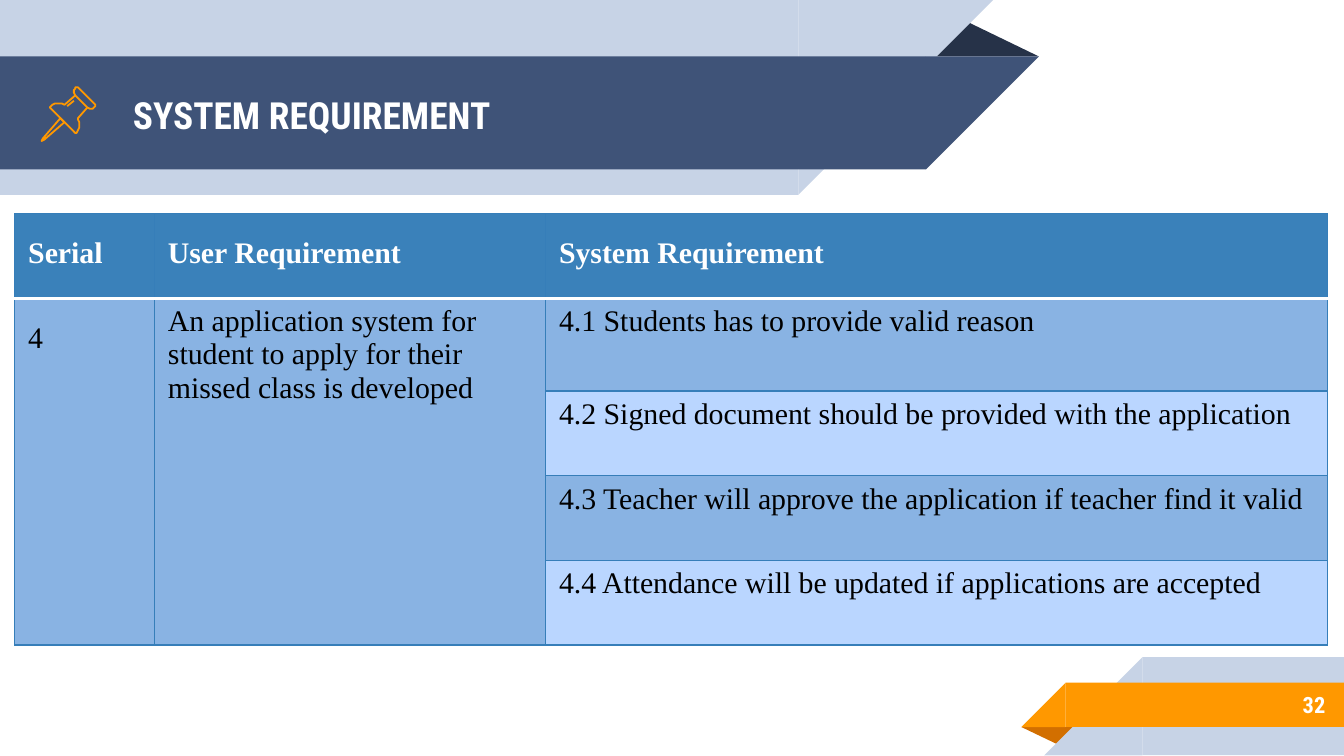
from lxml import etree
from pptx import Presentation
from pptx.dml.color import RGBColor
from pptx.enum.shapes import MSO_SHAPE as Preset
from pptx.enum.text import MSO_ANCHOR as Anchor, PP_ALIGN as Align
from pptx.oxml.ns import qn
from pptx.util import Inches, Pt

# Content
TITLE = "SYSTEM REQUIREMENT"
PAGE_NUMBER = "32"
HEADERS = ["Serial", "User Requirement", "System Requirement"]
SERIAL = "4"
USER_REQUIREMENT = ("An application system for student to apply for their "
                    "missed class is developed")
SYSTEM_REQUIREMENTS = [
    "4.1 Students has to provide valid reason",
    "4.2 Signed document should be provided with the application",
    "4.3 Teacher will approve the application if teacher find it valid",
    "4.4 Attendance will be updated if applications are accepted",
]

# Format values
WHITE, BLACK, PALE, NAVY, ORANGE = "FFFFFF", "000000", "C7D3E6", "3F5378", "FF9800"
HEADER_FILL, BODY_FILLS, GRID = "3A81BA", ["89B3E3", "BAD6FF"], "367EB9"
COLUMN_WIDTHS = [1.04, 2.91, 5.82]
ROW_HEIGHTS = [0.63, 0.69, 0.63, 0.63, 0.63]
HEADING = {"name": "Roboto Condensed", "size": Pt(20), "bold": True}
NUMBER = {**HEADING, "size": Pt(12)}
BODY = {"name": "Times New Roman", "size": Pt(16), "bold": False}
COLUMN_HEAD = {**BODY, "bold": True}

# Ribbons: left, top, rectangle width, height, colour, slanted end
HEADER_RIBBONS = [(0, 0, 5.94, 1.45, PALE, "right"), (0, 0.42, 6.89, 0.84, NAVY, "right")]
FOOTER_RIBBONS = [(8.5, 4.89, 1.5, 0.73, PALE, "left"), (7.93, 5.08, 2.07, 0.33, ORANGE, "left")]

# Pushpin outlines in hundredths of an inch: points, closed
PIN = [
    ([(45, 88), (32, 103), (31, 105), (33, 104), (48, 91)], True),
    ([(56, 71), (65, 80), (67, 81), (69, 81), (70, 80), (71, 79), (71, 78),
      (58, 65), (57, 65), (56, 65), (56, 66), (55, 67), (55, 69)], True),
    ([(56, 71), (48, 78), (46, 77), (44, 77), (41, 77), (39, 78), (38, 79),
      (37, 80), (38, 81), (55, 98), (56, 99), (57, 99), (58, 97), (59, 95),
      (59, 93), (59, 91), (58, 89), (58, 88), (65, 80)], False),
    ([(50, 79), (55, 75)], False),
]


def color(value):
    return RGBColor.from_string(value)


def add_preset(preset, left, top, width, height, fill, rotation=0):
    shape = slide.shapes.add_shape(preset, *map(Inches, (left, top, width, height)))
    shape.shadow.inherit = False
    shape.fill.solid()
    shape.fill.fore_color.rgb = color(fill)
    shape.line.fill.background()
    shape.rotation = rotation
    return shape


def add_fold(left, top, width, height, fill, rotation=0):
    add_preset(Preset.ISOSCELES_TRIANGLE, left, top, width, height, fill,
               rotation).adjustments[0] = 0.32


def add_ribbon(left, top, width, height, fill, slant):
    add_preset(Preset.RECTANGLE, left, top, width, height, fill)
    end, rotation = (left + width, 90) if slant == "right" else (left - height, 270)
    add_preset(Preset.RIGHT_TRIANGLE, end, top, height, height, fill, rotation)


def write(frame, text, font, text_color, alignment=Align.LEFT, spacing=None):
    frame.word_wrap = True
    paragraph = frame.paragraphs[0]
    paragraph.alignment = alignment
    paragraph.line_spacing = spacing
    run = paragraph.add_run()
    run.text = text
    for name, value in font.items():
        setattr(run.font, name, value)
    run.font.color.rgb = color(text_color)


def add_label(left, top, width, height, text, font, alignment):
    frame = slide.shapes.add_textbox(*map(Inches, (left, top, width, height))).text_frame
    for side in ("left", "top", "right", "bottom"):
        setattr(frame, f"margin_{side}", Inches(0.1))
    frame.vertical_anchor = Anchor.MIDDLE
    write(frame, text, font, WHITE, alignment)


def set_borders(cell, borders):
    properties = cell._tc.get_or_add_tcPr()
    for index, (side, (line_color, width)) in enumerate(borders.items()):
        line = etree.Element(qn(f"a:ln{side}"), w=str(Pt(width)))
        fill = etree.SubElement(line, qn("a:solidFill"))
        etree.SubElement(fill, qn("a:srgbClr"), val=line_color)
        properties.insert(index, line)


# Widescreen slide, 16:9
presentation = Presentation()
presentation.slide_width = Inches(10)
presentation.slide_height = Inches(10 * 9 / 16)
slide = presentation.slides.add_slide(presentation.slide_layouts[6])

# Header and footer ribbons
add_fold(6.88, 0.14, 0.85, 0.28, "263248")
for ribbon in HEADER_RIBBONS:
    add_ribbon(*ribbon)
add_fold(7.6, 5.41, 0.43, 0.14, "D26F00", 180)
for ribbon in FOOTER_RIBBONS:
    add_ribbon(*ribbon)

# Title and page number
add_label(0.89, 0.43, 6.01, 0.84, TITLE, HEADING, Align.LEFT)
add_label(8.33, 5.07, 1.63, 0.35, PAGE_NUMBER, NUMBER, Align.RIGHT)

# Pushpin icon
for points, closed in PIN:
    builder = slide.shapes.build_freeform(*points[0], scale=Inches(0.01))
    builder.add_line_segments(points[1:], close=closed)
    outline = builder.convert_to_shape()
    outline.shadow.inherit = False
    outline.fill.background()
    outline.line.color.rgb = color(ORANGE)
    outline.line.width = Pt(0.96)

# Requirement table
table = slide.shapes.add_table(
    len(ROW_HEIGHTS), len(COLUMN_WIDTHS), Inches(0.11), Inches(1.59),
    Inches(sum(COLUMN_WIDTHS)), Inches(sum(ROW_HEIGHTS))).table
for column, width in zip(table.columns, COLUMN_WIDTHS):
    column.width = Inches(width)
for row, height in zip(table.rows, ROW_HEIGHTS):
    row.height = Inches(height)

for row_index, row in enumerate(table.rows):
    for column_index, cell in enumerate(row.cells):
        stripe = (row_index - 1) % 2 if column_index == 2 else 0
        cell.fill.solid()
        cell.fill.fore_color.rgb = color(BODY_FILLS[stripe] if row_index else HEADER_FILL)
        borders = dict.fromkeys("LRTB", (GRID, 0.75))
        if row_index < 2:
            borders["T" if row_index else "B"] = (WHITE, 2)
        set_borders(cell, borders)

for column_index, header in enumerate(HEADERS):
    write(table.cell(0, column_index).text_frame, header, COLUMN_HEAD, WHITE, spacing=1.5)
for column_index, (text, spacing) in enumerate([(SERIAL, 1.5), (USER_REQUIREMENT, None)]):
    cell = table.cell(1, column_index)
    cell.merge(table.cell(len(SYSTEM_REQUIREMENTS), column_index))
    write(cell.text_frame, text, BODY, BLACK, spacing=spacing)
for row_index, requirement in enumerate(SYSTEM_REQUIREMENTS, start=1):
    write(table.cell(row_index, 2).text_frame, requirement, BODY, BLACK)

presentation.save("out.pptx")
